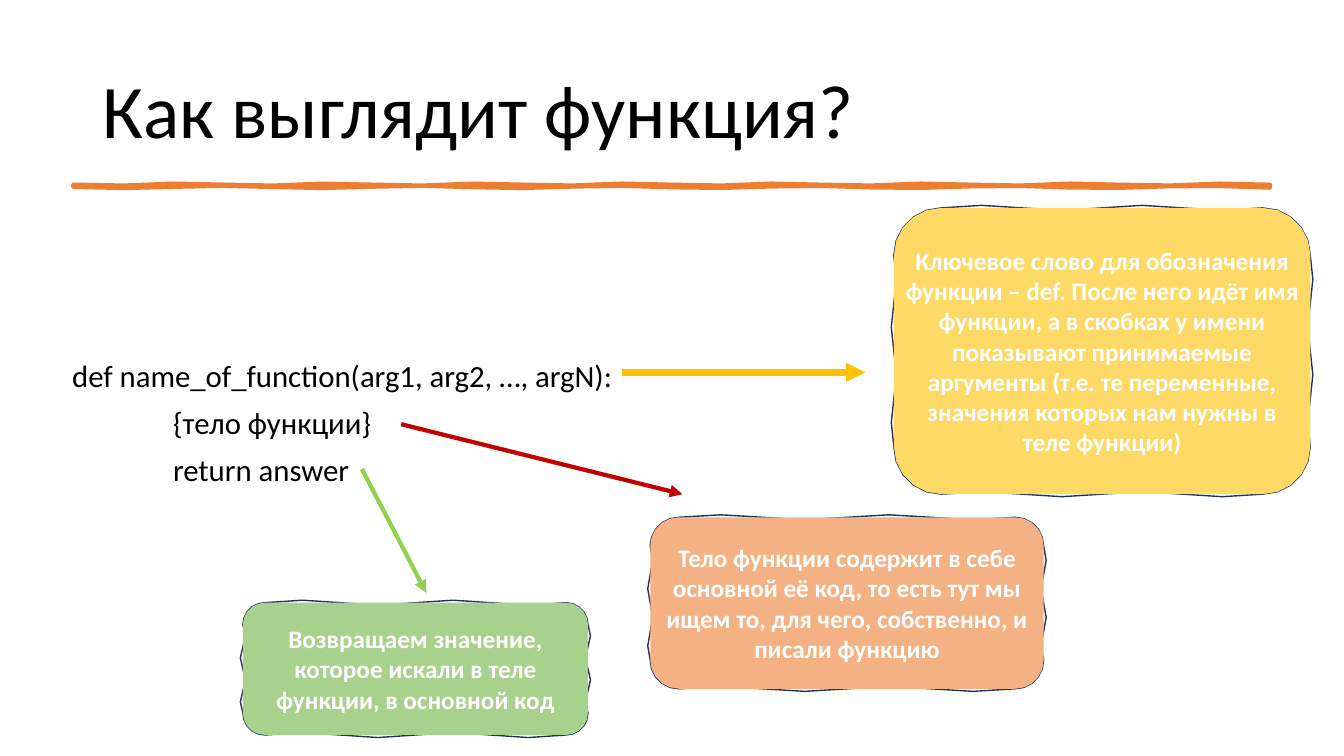
from math import cos, pi, radians, sin

from lxml import etree
from pptx import Presentation
from pptx.dml.color import RGBColor
from pptx.enum.shapes import MSO_CONNECTOR
from pptx.enum.text import MSO_ANCHOR, MSO_AUTO_SIZE, PP_ALIGN
from pptx.oxml.ns import qn
from pptx.util import Pt

STRAIGHT = MSO_CONNECTOR.STRAIGHT
TOP, MIDDLE = MSO_ANCHOR.TOP, MSO_ANCHOR.MIDDLE
LEFT, CENTER = PP_ALIGN.LEFT, PP_ALIGN.CENTER
NO_AUTOFIT = MSO_AUTO_SIZE.NONE
FONT = "Calibri"
TITLE_ONLY = 5
ARC_STEPS = 5

CODE_LINES = [  # text, indent
    ("def name_of_function(arg1, arg2, …, argN):", 0),
    ("{тело функции}", 72),
    ("return answer", 72),
]
ARROWS = [  # start, end, colour, width
    ((444, 266), (618, 266), "FFC000", 4.5),
    ((286.5, 303), (487.5, 353), "C00000", 3),
    ((258.5, 335), (304.5, 423.5), "92D050", 3),
]
NOTES = [  # left, top, width, height, fill, text
    (638.5, 148.5, 297.5, 204.5, "FFD966",
     "Ключевое слово для обозначения функции – def. После него идёт имя "
     "функции, а в скобках у имени показывают принимаемые аргументы (т.е. те "
     "переменные, значения которых нам нужны в теле функции)"),
    (464.5, 369.5, 281, 122.5, "F4B183",
     "Тело функции содержит в себе основной её код, то есть тут мы ищем то, "
     "для чего, собственно, и писали функцию"),
    (173.5, 430.5, 246.5, 94.5, "A9D18E",
     "Возвращаем значение, которое искали в теле функции, в основной код"),
]


def colour(hex_text):
    return RGBColor.from_string(hex_text)


def set_frame(frame, anchor):
    frame.word_wrap = True
    frame.auto_size = NO_AUTOFIT
    frame.vertical_anchor = anchor


def write(para, text, size, color="000000", bold=False, align=LEFT,
          spacing=None, before=0, indent=0):
    para.alignment = align
    para.space_before = Pt(before)
    if spacing:
        para.line_spacing = spacing
    if indent:
        para._p.get_or_add_pPr().set("marL", str(Pt(indent)))
    span = para.add_run()
    span.text = text
    span.font.name = FONT
    span.font.size = Pt(size)
    span.font.bold = bold
    span.font.color.rgb = colour(color)


def add_outline(slide, points, fill=None, line=None, line_width=1):
    """Draw a closed outline through points given in points."""
    corners = [(Pt(x), Pt(y)) for x, y in points]
    builder = slide.shapes.build_freeform(*corners[0])
    builder.add_line_segments(corners[1:], close=True)
    shape = builder.convert_to_shape()
    shape.shadow.inherit = False
    if fill:
        shape.fill.solid()
        shape.fill.fore_color.rgb = colour(fill)
    else:
        shape.fill.background()
    if line:
        shape.line.color.rgb = colour(line)
        shape.line.width = Pt(line_width)
    else:
        shape.line.fill.background()
    return shape


def rounded_box(left, top, width, height, swing=0, waves=0, edge_steps=1):
    """Rounded rectangle, clockwise, whose straight edges may sway."""
    radius = height / 6
    right, bottom = left + width - radius, top + height - radius
    left, top = left + radius, top + radius
    centres = [(left, top), (right, top), (right, bottom), (left, bottom)]
    points = []
    for side, (x, y) in enumerate(centres):
        for step in range(ARC_STEPS):
            angle = radians(180 + 90 * (side + step / ARC_STEPS))
            points.append((x + radius * cos(angle), y + radius * sin(angle)))
        next_x, next_y = centres[(side + 1) % 4]
        angle = radians(270 + 90 * side)
        for step in range(edge_steps):
            part = step / edge_steps
            reach = radius + swing * sin(2 * pi * waves * part)
            points.append((x + (next_x - x) * part + reach * cos(angle),
                           y + (next_y - y) * part + reach * sin(angle)))
    return points


def add_rule(slide, left, right, top, thickness, color):
    steps = 24
    upper, lower = [], []
    for step in range(steps + 1):
        x = left + (right - left) * step / steps
        upper.append((x, top + 0.8 * sin(step * 2.1)))
        lower.append((x, top + thickness + 0.8 * sin(step * 1.6)))
    add_outline(slide, upper + lower[::-1], color, color, 3.25)


def add_note(slide, left, top, width, height, fill, text):
    bounds = (left, top, width, height)
    sketch = rounded_box(*bounds, swing=1.8, waves=2, edge_steps=8)
    add_outline(slide, sketch, line="1E3256")
    box = add_outline(slide, rounded_box(*bounds), fill=fill)
    set_frame(box.text_frame, MIDDLE)
    write(box.text_frame.paragraphs[0], text, 18, "FFFFFF", bold=True,
          align=CENTER)


def add_arrow(slide, start, end, color, width):
    arrow = slide.shapes.add_connector(
        STRAIGHT, *(Pt(value) for value in start + end))
    arrow.line.color.rgb = colour(color)
    arrow.line.width = Pt(width)
    head = etree.SubElement(arrow.line._get_or_add_ln(), qn("a:tailEnd"))
    head.set("type", "triangle")
    etree.SubElement(arrow._element.spPr, qn("a:effectLst"))


def add_title(slide, text):
    title = slide.shapes.title
    title.left, title.top = Pt(66), Pt(29)
    title.width, title.height = Pt(828), Pt(104.5)
    set_frame(title.text_frame, MIDDLE)
    write(title.text_frame.paragraphs[0], text, 54, spacing=0.9)


def add_code(slide):
    box = slide.shapes.add_textbox(Pt(44.5), Pt(254), Pt(435.5), Pt(126))
    frame = box.text_frame
    set_frame(frame, TOP)
    for number, (text, indent) in enumerate(CODE_LINES):
        para = frame.add_paragraph() if number else frame.paragraphs[0]
        write(para, text, 22, spacing=0.9, before=10 if number else 0,
              indent=indent)


def main():
    deck = Presentation()
    deck.slide_width, deck.slide_height = Pt(960), Pt(540)
    page = deck.slides.add_slide(deck.slide_layouts[TITLE_ONLY])

    # Heading
    add_title(page, "Как выглядит функция?")
    add_rule(page, 52.5, 907, 132, 1.4, "ED7D31")

    # Function and arrows to its parts
    add_code(page)
    for arrow in ARROWS:
        add_arrow(page, *arrow)

    # Explanations
    for note in NOTES:
        add_note(page, *note)

    deck.save("out.pptx")


if __name__ == "__main__":
    main()
